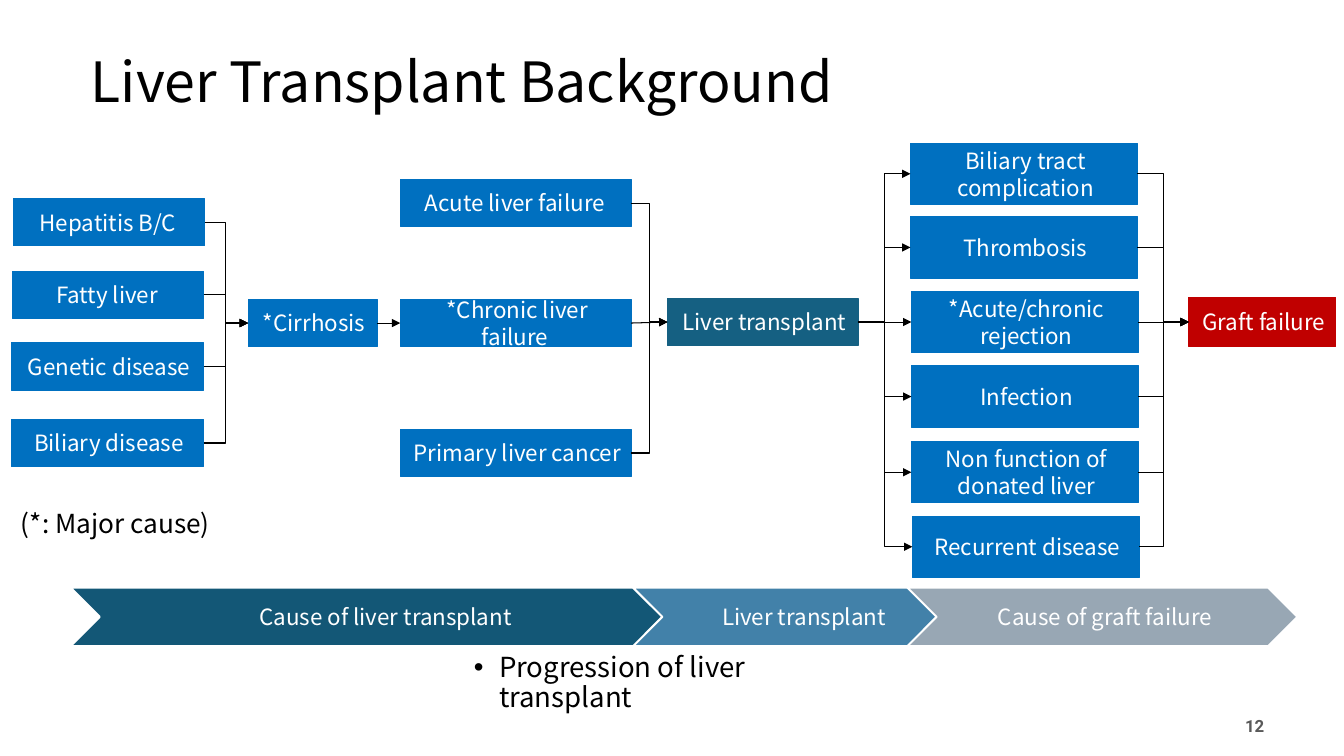
"""Build the liver transplant background slide: a cause flow above a stage band."""
from dataclasses import dataclass

from lxml.etree import SubElement
from pptx import Presentation
from pptx.dml.color import RGBColor
from pptx.enum.shapes import MSO_CONNECTOR as Link
from pptx.enum.shapes import MSO_SHAPE as Preset
from pptx.enum.text import MSO_ANCHOR as Anchor
from pptx.enum.text import MSO_AUTO_SIZE as AutoSize
from pptx.enum.text import PP_ALIGN as Align
from pptx.oxml.ns import qn
from pptx.shapes.autoshape import Shape
from pptx.slide import Slide
from pptx.util import Emu, Pt

SCALE = 9144
FONT = "Noto Sans CJK SC"
BLACK = RGBColor(0x00, 0x00, 0x00)
WHITE = RGBColor(0xFF, 0xFF, 0xFF)
BLUE = RGBColor(0x00, 0x70, 0xC0)
TEAL = RGBColor(0x15, 0x60, 0x82)
RED = RGBColor(0xC0, 0x00, 0x00)
DARK_TEAL = RGBColor(0x13, 0x57, 0x76)
STEEL = RGBColor(0x42, 0x81, 0xA9)
SLATE = RGBColor(0x98, 0xA7, 0xB4)
GREY = RGBColor(0x59, 0x59, 0x59)


@dataclass(frozen=True)
class Area:
    left: int
    top: int
    width: int
    height: int


@dataclass(frozen=True)
class Style:
    size: float
    color: RGBColor
    leading: float
    align: Align = Align.LEFT
    anchor: Anchor = Anchor.TOP
    insets: tuple[int, int, int, int] = (10, 5, 10, 5)
    font: str = FONT
    bold: bool = False


@dataclass(frozen=True)
class Block:
    text: str
    area: Area
    fill: RGBColor = BLUE


BOX_STYLE = Style(16, WHITE, 19, Align.CENTER, Anchor.MIDDLE, (13, 13, 10, 13))
STAGE_STYLE = Style(16, WHITE, 19, Align.CENTER, Anchor.MIDDLE, (7, 2, 2, 2))
TITLE_STYLE = Style(39.6, BLACK, 43, anchor=Anchor.MIDDLE)
BODY_STYLE = Style(19.7, BLACK, 21.5)
NOTE_STYLE = Style(18.7, BLACK, 22)
NUMBER_STYLE = Style(12, GREY, 14, Align.RIGHT, Anchor.MIDDLE, (0, 0, 0, 0), "Roboto", True)

CIRRHOSIS = Block("*Cirrhosis ", Area(246, 297, 128, 47))
CHRONIC = Block("*Chronic liver failure ", Area(397, 297, 229, 47))
TRANSPLANT = Block("Liver transplant", Area(662, 296, 189, 47), TEAL)
GRAFT_FAILURE = Block("Graft failure", Area(1179, 295, 146, 49), RED)
CIRRHOSIS_CAUSES = [
    Block("Hepatitis B/C ", Area(13, 197, 190, 47)),
    Block("Fatty liver ", Area(12, 269, 190, 47)),
    Block("Genetic disease", Area(11, 340, 191, 47)),
    Block("Biliary disease", Area(11, 416, 191, 47)),
]
OTHER_CAUSES = [
    Block("Acute liver failure ", Area(397, 178, 229, 47)),
    Block("Primary liver cancer ", Area(397, 426, 229, 47)),
]
COMPLICATIONS = [
    Block("Biliary tract complication", Area(903, 142, 225, 61)),
    Block("Thrombosis", Area(903, 215, 225, 61)),
    Block("*Acute/chronic rejection", Area(904, 289, 225, 61)),
    Block("Infection", Area(904, 363, 225, 61)),
    Block("Non function of donated liver", Area(904, 438, 225, 61)),
    Block("Recurrent disease", Area(905, 512, 225, 61)),
]
STAGES = [
    Block("Cause of liver transplant", Area(70, 583, 620, 58), DARK_TEAL),
    Block("Liver transplant", Area(628, 583, 334, 58), STEEL),
    Block("Cause of graft failure", Area(900, 583, 387, 58), SLATE),
]


def px(length: int) -> Emu:
    """Turn px into EMU."""
    return Emu(length * SCALE)


def bounds(area: Area) -> tuple[Emu, Emu, Emu, Emu]:
    """Give the area in EMU."""
    return px(area.left), px(area.top), px(area.width), px(area.height)


def write(shape: Shape, text: str, style: Style) -> None:
    """Put one styled paragraph in a shape."""
    frame = shape.text_frame
    frame.word_wrap = True
    frame.auto_size = AutoSize.NONE
    frame.vertical_anchor = style.anchor
    left, top, right, bottom = map(px, style.insets)
    frame.margin_left, frame.margin_top = left, top
    frame.margin_right, frame.margin_bottom = right, bottom
    para = frame.paragraphs[0]
    para.alignment = style.align
    para.line_spacing = Pt(style.leading)
    para.space_before = Pt(0)
    span = para.add_run()
    span.text = text
    span.font.name = style.font
    span.font.size = Pt(style.size)
    span.font.bold = style.bold
    span.font.color.rgb = style.color


def place(shape: Shape, area: Area) -> None:
    """Move a placeholder to an area."""
    shape.left, shape.top, shape.width, shape.height = bounds(area)


def add_block(page: Slide, block: Block, preset: Preset, style: Style,
              line: RGBColor, weight: float) -> Shape:
    """Draw a filled shape with its label."""
    shape = page.shapes.add_shape(preset, *bounds(block.area))
    shape.shadow.inherit = False
    shape.fill.solid()
    shape.fill.fore_color.rgb = block.fill
    shape.line.color.rgb = line
    shape.line.width = Pt(weight)
    write(shape, block.text, style)
    return shape


def add_box(page: Slide, block: Block) -> Shape:
    """Draw one box of the flow."""
    return add_block(page, block, Preset.RECTANGLE, BOX_STYLE, block.fill, 0.75)


def add_arrow(page: Slide, source: Shape, target: Shape, bend: int | None = None) -> None:
    """Join right side to left side, turning at the bend when one is given."""
    kind = Link.STRAIGHT if bend is None else Link.ELBOW
    arrow = page.shapes.add_connector(kind, 0, 0, 0, 0)
    arrow.begin_connect(source, 3)
    arrow.end_connect(target, 1)
    arrow.line.color.rgb = BLACK
    arrow.line.width = Pt(0.75)
    properties = arrow._element.spPr
    SubElement(properties.find(qn("a:ln")), qn("a:tailEnd"), type="triangle")
    SubElement(properties, qn("a:effectLst"))
    if bend is not None:
        share = (px(bend) - arrow.begin_x) / (arrow.end_x - arrow.begin_x)
        guides = properties.find(qn("a:prstGeom")).get_or_add_avLst()
        SubElement(guides, qn("a:gd"), name="adj1", fmla=f"val {round(share * 100000)}")


def add_label(page: Slide, text: str, area: Area, style: Style) -> None:
    """Draw a plain text box."""
    write(page.shapes.add_textbox(*bounds(area)), text, style)


def add_flow(page: Slide) -> None:
    """Draw the boxes and arrows from causes to graft failure."""
    cirrhosis, chronic, transplant, graft_failure = (
        add_box(page, block) for block in (CIRRHOSIS, CHRONIC, TRANSPLANT, GRAFT_FAILURE))
    for cause in CIRRHOSIS_CAUSES:
        add_arrow(page, add_box(page, cause), cirrhosis, 224)
    add_arrow(page, cirrhosis, chronic)
    add_arrow(page, chronic, transplant)
    for cause in OTHER_CAUSES:
        add_arrow(page, add_box(page, cause), transplant, 644)
    for complication in COMPLICATIONS:
        box = add_box(page, complication)
        add_arrow(page, transplant, box, 877)
        add_arrow(page, box, graft_failure, 1154)


def main() -> None:
    """Build and save the deck."""
    deck = Presentation()
    deck.slide_width, deck.slide_height = px(1333), px(750)
    page = deck.slides.add_slide(deck.slide_layouts[1])
    title, body = page.placeholders
    place(title, Area(80, 59, 989, 47))
    write(title, "Liver Transplant Background", TITLE_STYLE)
    place(body, Area(460, 643, 406, 47))
    write(body, "Progression of liver transplant", BODY_STYLE)
    bullet = body.text_frame.paragraphs[0]._p.get_or_add_pPr()
    bullet.set("marL", str(px(25)))
    bullet.set("indent", str(px(-25)))
    add_flow(page)
    add_label(page, "(*: Major cause)", Area(11, 499, 216, 42), NOTE_STYLE)
    for stage in STAGES:
        add_block(page, stage, Preset.CHEVRON, STAGE_STYLE, WHITE, 1.5)
    add_label(page, "12", Area(976, 710, 278, 20), NUMBER_STYLE)
    deck.save("out.pptx")


if __name__ == "__main__":
    main()
